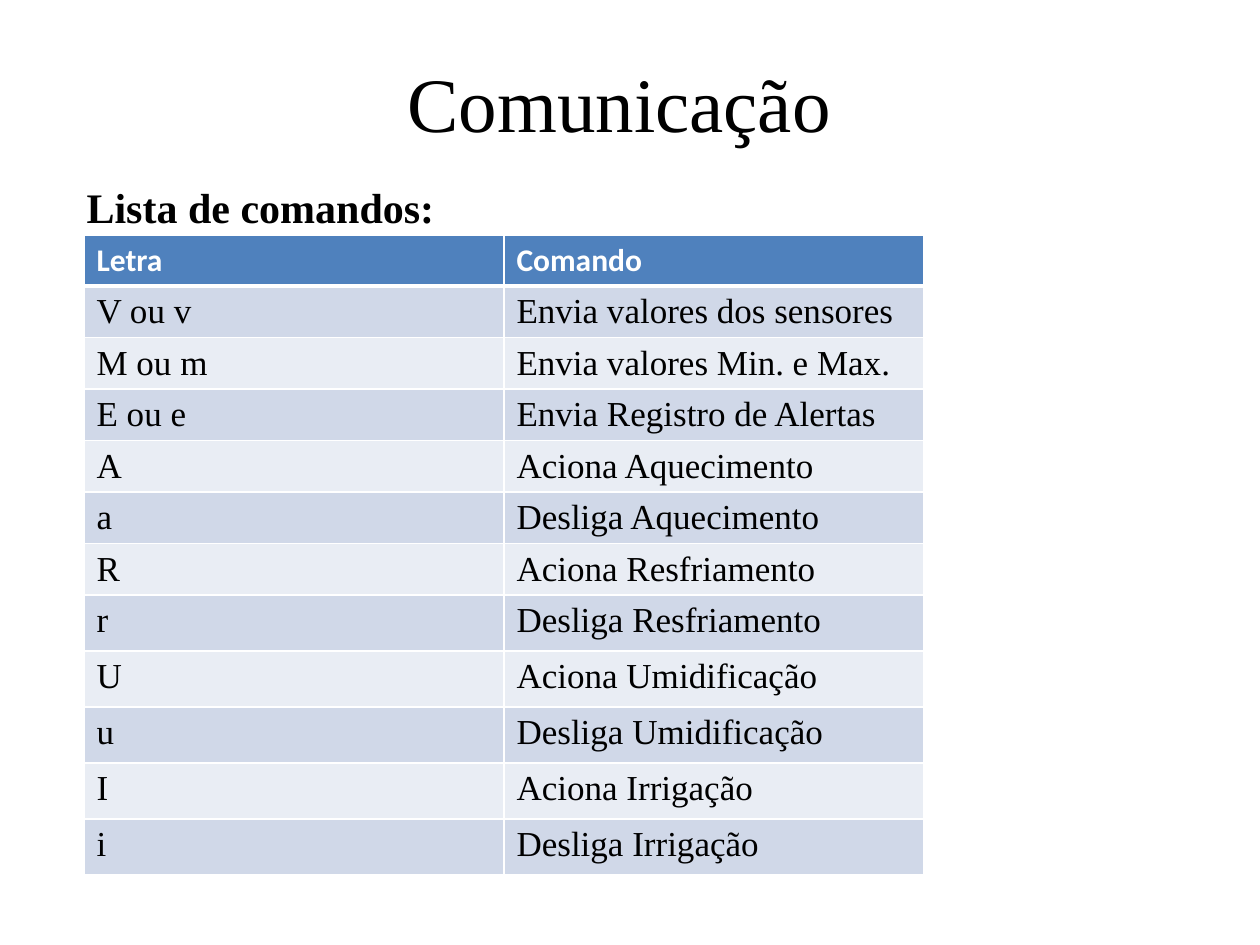
from lxml import etree
from pptx import Presentation
from pptx.dml.color import RGBColor
from pptx.enum.text import MSO_ANCHOR, PP_ALIGN
from pptx.oxml.ns import qn
from pptx.util import Emu, Pt

LEFT, CENTER = PP_ALIGN.LEFT, PP_ALIGN.CENTER
TOP, MIDDLE = MSO_ANCHOR.TOP, MSO_ANCHOR.MIDDLE

TITLE = "Comunicação"
SUBTITLE = "Lista de comandos:"
HEADER = ("Letra", "Comando")
COMMANDS = [
    ("V ou v", "Envia valores dos sensores"),
    ("M ou m", "Envia valores Min. e Max."),
    ("E ou e", "Envia Registro de Alertas"),
    ("A", "Aciona Aquecimento"),
    ("a", "Desliga Aquecimento"),
    ("R", "Aciona Resfriamento"),
    ("r", "Desliga Resfriamento"),
    ("U", "Aciona Umidificação"),
    ("u", "Desliga Umidificação"),
    ("I", "Aciona Irrigação"),
    ("i", "Desliga Irrigação"),
]

SERIF = "Times New Roman"
BLACK, WHITE = "000000", "FFFFFF"
HEADER_FILL = "4F81BD"
BAND_FILLS = ("D0D8E8", "E9EDF4")

TITLE_FONT = dict(name=SERIF, size=Pt(44), color=BLACK)
SUBTITLE_FONT = dict(name=SERIF, size=Pt(24), color=BLACK, bold=True)
HEADER_FONT = dict(name="Calibri", size=Pt(18), color=WHITE, bold=True)
COMMAND_FONT = dict(name=SERIF, size=Pt(20), color=BLACK, bold=False)

SLIDE_SIZE = (1260, 945)
TITLE_BOX = (84, 0, 1071, 203)
SUBTITLE_BOX = (74, 175, 1101, 704)
TABLE_LEFT, TABLE_TOP, COLUMN_WIDTH = 84, 235, 420
ROW_HEIGHTS = [51] * 7 + [56] * 5


def px(length):
    return Emu(round(length * 914400 / 126))


def rgb(color):
    return RGBColor.from_string(color)


def format_font(font, values):
    for key, value in values.items():
        if key == "color":
            font.color.rgb = rgb(value)
        else:
            setattr(font, key, value)


def fill_placeholder(placeholder, text, box, font, align, anchor):
    placeholder.left, placeholder.top, placeholder.width, placeholder.height = map(px, box)
    placeholder.text_frame.text = text
    placeholder.text_frame.vertical_anchor = anchor
    paragraph = placeholder.text_frame.paragraphs[0]
    paragraph.alignment = align
    format_font(paragraph.runs[0].font, font)


def set_borders(cell, bottom_width):
    """Draw white borders; they must come before the fill in the cell properties."""
    properties = cell._tc.get_or_add_tcPr()
    widths = {"lnL": 1, "lnR": 1, "lnT": 1, "lnB": bottom_width}
    for index, (side, width) in enumerate(widths.items()):
        line = etree.Element(qn(f"a:{side}"), w=str(Pt(width)))
        fill = etree.SubElement(line, qn("a:solidFill"))
        etree.SubElement(fill, qn("a:srgbClr"), val=WHITE)
        properties.insert(index, line)


def add_command_table(slide):
    rows = [HEADER, *COMMANDS]
    table = slide.shapes.add_table(
        len(rows), len(HEADER), px(TABLE_LEFT), px(TABLE_TOP),
        px(COLUMN_WIDTH * len(HEADER)), px(sum(ROW_HEIGHTS))).table
    for column in table.columns:
        column.width = px(COLUMN_WIDTH)
    for r, texts in enumerate(rows):
        table.rows[r].height = px(ROW_HEIGHTS[r])
        is_header = r == 0
        for c, text in enumerate(texts):
            cell = table.cell(r, c)
            cell.text = text
            cell.fill.solid()
            cell.fill.fore_color.rgb = rgb(HEADER_FILL if is_header else BAND_FILLS[(r - 1) % 2])
            set_borders(cell, 3 if is_header else 1)
            run = cell.text_frame.paragraphs[0].runs[0]
            format_font(run.font, HEADER_FONT if is_header else COMMAND_FONT)


def main():
    presentation = Presentation()
    presentation.slide_width, presentation.slide_height = map(px, SLIDE_SIZE)
    slide = presentation.slides.add_slide(presentation.slide_layouts[0])
    fill_placeholder(slide.shapes.title, TITLE, TITLE_BOX, TITLE_FONT, CENTER, MIDDLE)
    fill_placeholder(slide.placeholders[1], SUBTITLE, SUBTITLE_BOX, SUBTITLE_FONT, LEFT, TOP)
    add_command_table(slide)
    presentation.save("out.pptx")


if __name__ == "__main__":
    main()
